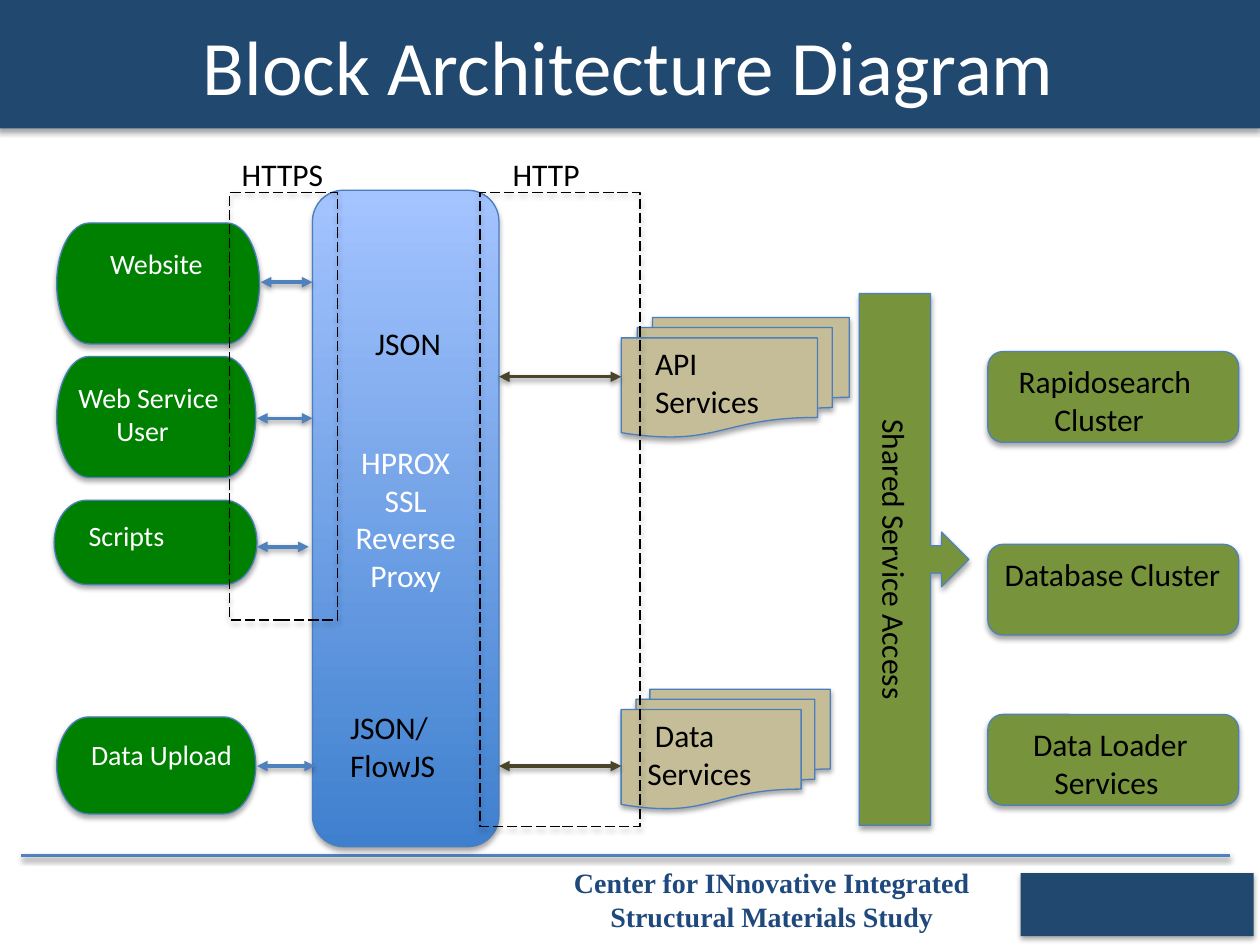
"""Builds the block architecture slide on a grid of 100 columns by 75 rows."""
from lxml.etree import SubElement
from pptx import Presentation
from pptx.dml.color import RGBColor
from pptx.enum.dml import MSO_LINE
from pptx.enum.shapes import MSO_CONNECTOR, MSO_SHAPE as Preset
from pptx.enum.text import MSO_ANCHOR as Anchor, MSO_AUTO_SIZE, PP_ALIGN as Align
from pptx.oxml.ns import qn
from pptx.util import Emu, Inches, Pt

WIDTH, HEIGHT = Inches(10), Inches(7.5)
COLUMNS, ROWS = 100, 75
NAVY, GREEN, OLIVE, TAN = "21486E", "008000", "77933C", "C4BD97"
BLUE, EDGE, BROWN = "4F81BD", "4B7EBC", "4A452A"
BLACK, WHITE = "000000", "FFFFFF"


def across(columns):
    """Return the length of a number of grid columns."""
    return Emu(round(WIDTH * columns / COLUMNS))


def down(rows):
    """Return the length of a number of grid rows."""
    return Emu(round(HEIGHT * rows / ROWS))


def cells(left, top, width, height):
    """Return a grid area as slide lengths."""
    return across(left), down(top), across(width), down(height)


def paint(color_format, code):
    """Set a colour from its hex string."""
    color_format.rgb = RGBColor.from_string(code)


def cast_shadow(item, opacity, distance):
    """Add a soft shadow that falls straight down."""
    effects = SubElement(item._element.spPr, qn("a:effectLst"))
    shadow = SubElement(effects, qn("a:outerShdw"), blurRad=str(Pt(3.1)),
                        dist=str(Pt(distance)), dir="5400000", rotWithShape="0")
    tone = SubElement(shadow, qn("a:srgbClr"), val=BLACK)
    SubElement(tone, qn("a:alpha"), val=str(opacity * 1000))


def write(frame, lines, size, code, align=Align.LEFT, indents=(), font="Calibri", bold=False):
    """Write one paragraph per line, indented by grid columns."""
    for index, line in enumerate(lines):
        paragraph = frame.paragraphs[0] if index == 0 else frame.add_paragraph()
        paragraph.alignment = align
        if indents:
            paragraph._p.get_or_add_pPr().set("marL", str(across(indents[index])))
        run = paragraph.add_run()
        run.text = line
        run.font.name, run.font.size, run.font.bold = font, Pt(size), bold
        paint(run.font.color, code)


def add_block(slide, preset, area, fill=None, edge=None, anchor=Anchor.TOP):
    """Add a shadowed block and return it."""
    block = slide.shapes.add_shape(preset, *cells(*area))
    if fill:
        block.fill.solid()
        paint(block.fill.fore_color, fill)
    else:
        block.fill.background()
    if edge:
        paint(block.line.color, edge)
        block.line.width = Pt(0.75)
    else:
        block.line.fill.background()
    block.text_frame.vertical_anchor = anchor
    cast_shadow(block, 35, 1.8)
    return block


def add_proxy(slide):
    """Add the tall gradient block of the reverse proxy."""
    proxy = add_block(slide, Preset.ROUNDED_RECTANGLE, (24.8, 15.1, 14.8, 52.1),
                      BLUE, EDGE, Anchor.MIDDLE)
    proxy.fill.gradient()
    proxy.fill.gradient_angle = 90
    for stop, (position, code) in zip(proxy.fill.gradient_stops, ((0, "3F80CE"), (1, "A4C4FF"))):
        stop.position = position
        paint(stop.color, code)
    write(proxy.text_frame, ["HPROX", "SSL", "Reverse", "Proxy"], 18, WHITE, Align.CENTER)


def add_rule(slide, start, end, row, code, arrows=True):
    """Add a level line, with arrowheads at both ends if wanted."""
    rule = slide.shapes.add_connector(MSO_CONNECTOR.STRAIGHT, across(start), down(row),
                                      across(end), down(row))
    paint(rule.line.color, code)
    rule.line.width = Pt(2)
    if arrows:
        for tip in ("a:headEnd", "a:tailEnd"):
            SubElement(rule.line._ln, qn(tip), type="triangle")
    cast_shadow(rule, 38, 1.6)


def add_zone(slide, area):
    """Add a dashed protocol zone."""
    zone = add_block(slide, Preset.RECTANGLE, area, edge=BLACK)
    zone.line.dash_style = MSO_LINE.LONG_DASH


def add_label(slide, area, lines):
    """Add a free label that does not wrap."""
    frame = slide.shapes.add_textbox(*cells(*area)).text_frame
    frame.word_wrap = False
    frame.auto_size = MSO_AUTO_SIZE.SHAPE_TO_FIT_TEXT
    write(frame, lines, 18, BLACK)


def add_footer(slide):
    """Add the footer rule, its block and the centre's name."""
    add_rule(slide, 1.7, 97.6, 67.9, BLUE, arrows=False)
    add_block(slide, Preset.RECTANGLE, (81, 69.3, 18.5, 5), NAVY)
    frame = slide.shapes.add_textbox(*cells(37.1, 68.2, 48.3, 6.4)).text_frame
    frame.word_wrap = True
    write(frame, ["Center for INnovative Integrated", "Structural Materials Study"],
          16, "1F497D", Align.CENTER, font="Times New Roman", bold=True)


def main():
    """Build and save the slide."""
    deck = Presentation()
    deck.slide_width, deck.slide_height = WIDTH, HEIGHT
    slide = deck.slides.add_slide(deck.slide_layouts[6])
    add_footer(slide)
    add_proxy(slide)

    clients = [
        ((4.5, 17.7, 16.1, 9.6), ["Website"], [2.5]),
        ((4.5, 28.3, 15.8, 9.6), ["Web Service", "User"], [0, 3]),
        ((4.3, 39.7, 16.1, 6.7), ["Scripts"], [1]),
        ((4.5, 56.9, 15.8, 7.7), ["Data Upload"], [1]),
    ]
    for area, lines, indents in clients:
        client = add_block(slide, Preset.FLOWCHART_TERMINATOR, area, GREEN, EDGE)
        write(client.text_frame, lines, 16, WHITE, indents=indents)

    services = [
        ((49.3, 25.2, 18.1, 9.5), ["API", "Services"], [1.7, 1.7]),
        ((49.3, 54.7, 16.6, 9.5), ["Data", "Services"], [1.7, 1.1]),
    ]
    for area, lines, indents in services:
        service = add_block(slide, Preset.FLOWCHART_MULTIDOCUMENT, area, TAN, EDGE)
        write(service.text_frame, lines, 18, BLACK, indents=indents)

    for start, end, row in ((20.7, 24.8, 22.4), (20.4, 24.8, 33.2),
                            (20.4, 24.5, 43.4), (20.4, 25, 60.8)):
        add_rule(slide, start, end, row, BLUE)
    for row in (29.9, 60.8):
        add_rule(slide, 39.6, 49.3, row, BROWN)

    stores = [
        (27.9, ["Rapidosearch", "Cluster"], [1.1, 3.95]),
        (43.2, ["Database Cluster"], [0]),
        (56.7, ["Data Loader", "Services"], [2.25, 3.95]),
    ]
    for row, lines, indents in stores:
        store = add_block(slide, Preset.ROUNDED_RECTANGLE, (78.4, row, 19.9, 7.2), OLIVE, BLUE)
        write(store.text_frame, lines, 18, BLACK, indents=indents)

    access = add_block(slide, Preset.RIGHT_ARROW_CALLOUT, (68.2, 23.3, 8.7, 42.2),
                       OLIVE, BLUE, Anchor.MIDDLE)
    access.text_frame._txBody.bodyPr.set("vert", "vert")
    write(access.text_frame, ["Shared Service Access"], 18, BLACK, Align.CENTER)

    add_zone(slide, (18.2, 15.3, 8.6, 33.9))
    add_zone(slide, (38.1, 15.3, 12.7, 50.3))
    add_label(slide, (18.2, 11.8, 8.6, 4.2), ["HTTPS"])
    add_label(slide, (39.7, 11.8, 7.4, 4.2), ["HTTP"])
    add_label(slide, (28.8, 25.2, 7.3, 4.2), ["JSON"])
    add_label(slide, (26.8, 55.7, 8.9, 7.1), ["JSON/", "FlowJS"])

    banner = add_block(slide, Preset.RECTANGLE, (-0.2, 0, 100.2, 10.2), NAVY, anchor=Anchor.MIDDLE)
    write(banner.text_frame, ["Block Architecture Diagram"], 44, WHITE, Align.CENTER)
    deck.save("out.pptx")


if __name__ == "__main__":
    main()
